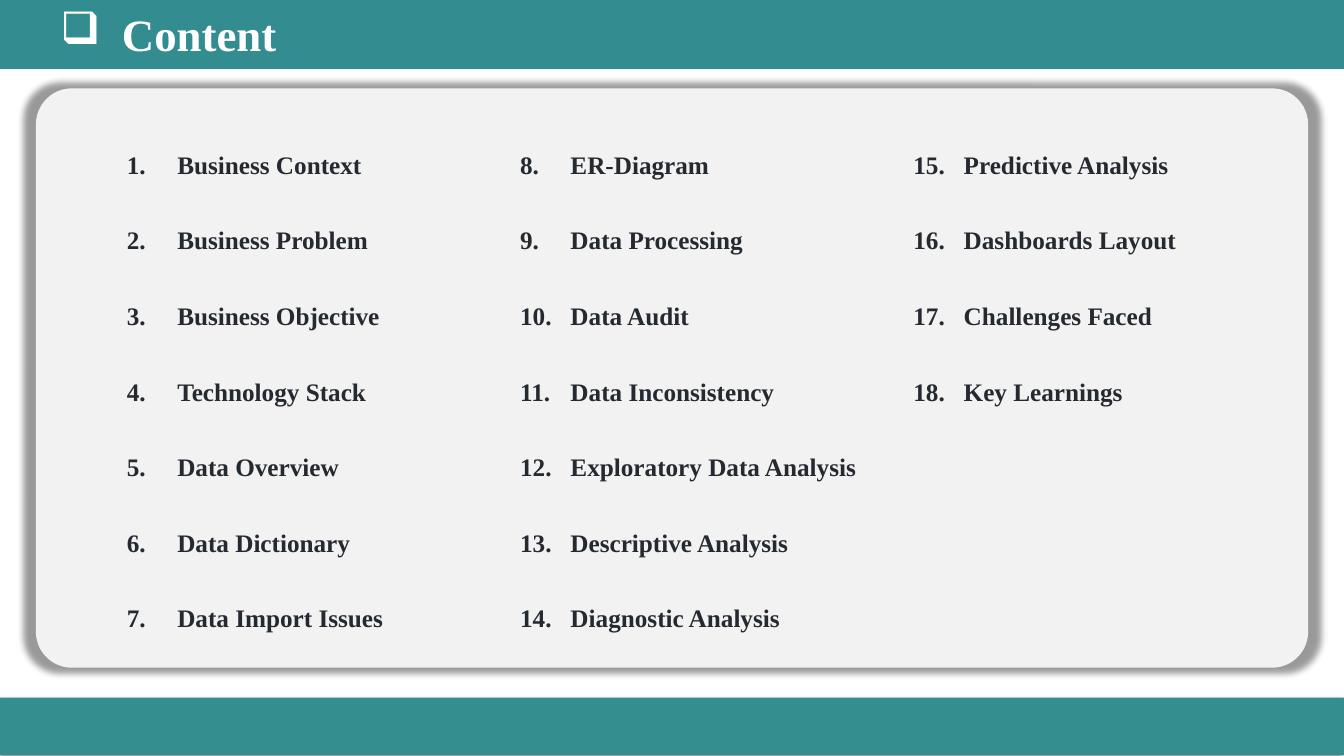
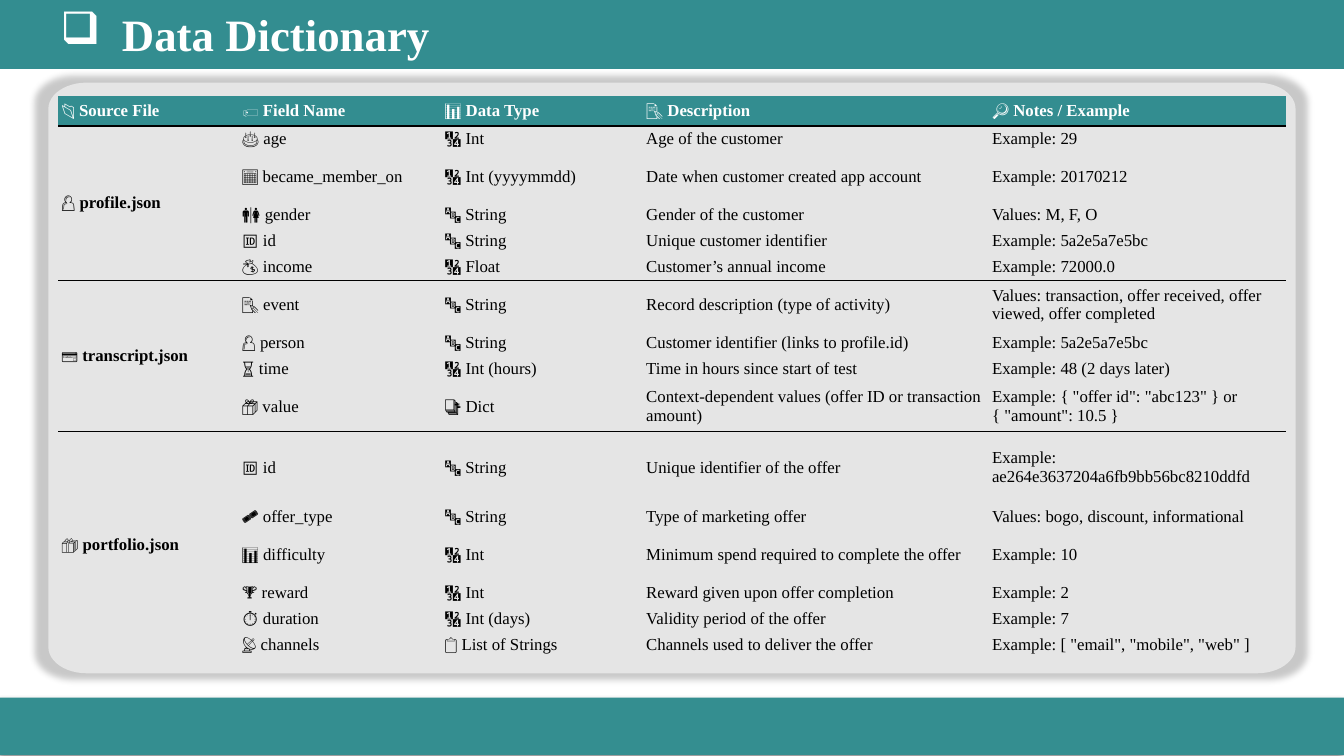
from dataclasses import dataclass
from math import cos, pi, sin

from lxml import etree
from pptx import Presentation
from pptx.dml.color import RGBColor
from pptx.enum.shapes import MSO_SHAPE
from pptx.enum.text import MSO_ANCHOR, MSO_AUTO_SIZE, PP_ALIGN
from pptx.oxml.ns import qn
from pptx.shapes.autoshape import Shape
from pptx.slide import Slide
from pptx.table import _Cell
from pptx.text.text import _Paragraph
from pptx.util import Inches, Pt

RECTANGLE = MSO_SHAPE.RECTANGLE
ROUNDED = MSO_SHAPE.ROUNDED_RECTANGLE
MIDDLE = MSO_ANCHOR.MIDDLE
FIT_SHAPE = MSO_AUTO_SIZE.SHAPE_TO_FIT_TEXT
NO_FIT = MSO_AUTO_SIZE.NONE
LEFT = PP_ALIGN.LEFT

TEAL = RGBColor(0x33, 0x8D, 0x90)
FOOTER_TEAL = RGBColor(0x34, 0x8E, 0x90)
PANEL_GREY = RGBColor(0xF2, 0xF2, 0xF2)
INK = RGBColor(0x25, 0x29, 0x30)
BLACK = RGBColor(0, 0, 0)
WHITE = RGBColor(0xFF, 0xFF, 0xFF)

FONT = "Times New Roman"
SLIDE_WIDTH = Inches(13.33)
SLIDE_HEIGHT = Inches(7.5)
PLAIN_TABLE_STYLE = "{2D5ABB26-0587-4C30-8999-92F81FD0307C}"

TOPICS = [
    "Business Context", "Business Problem", "Business Objective",
    "Technology Stack", "Data Overview", "Data Dictionary",
    "Data Import Issues", "ER-Diagram", "Data Processing", "Data Audit",
    "Data Inconsistency", "Exploratory Data Analysis",
    "Descriptive Analysis", "Diagnostic Analysis", "Predictive Analysis",
    "Dashboards Layout", "Challenges Faced", "Key Learnings",
]
TOPICS_PER_COLUMN = 7


@dataclass(frozen=True)
class Shadow:
    blur: float
    distance: float = 0
    direction: int = 0
    scale: int = 100


@dataclass(frozen=True)
class Field:
    name: str
    data_type: str
    description: str
    example: str
    height: float = 0.26


@dataclass(frozen=True)
class Source:
    icon: str
    file_name: str
    fields: list[Field]


PANEL_SHADOW = Shadow(blur=5, scale=102)
FOOTER_SHADOW = Shadow(blur=4, distance=3, direction=135)

HEADINGS = ["📂 Source File", "🏷️ Field Name", "📊 Data Type",
            "📝 Description", "🔎 Notes / Example"]
HEADING_HEIGHT = 0.3
COLUMN_WIDTHS = [1.79, 2.01, 2, 3.43, 2.95]
SOURCES = [
    Source("👤 ", "profile.json", [
        Field("🎂 age", "🔢 Int", "Age of the customer", "Example: 29"),
        Field("📅 became_member_on", "🔢 Int (yyyymmdd)",
              "Date when customer created app account",
              "Example: 20170212", 0.49),
        Field("🚻 gender", "🔤 String", "Gender of the customer",
              "Values: M, F, O"),
        Field("🆔 id", "🔤 String", "Unique customer identifier",
              "Example: 5a2e5a7e5bc"),
        Field("💰 income", "🔢 Float", "Customer’s annual income",
              "Example: 72000.0"),
    ]),
    Source("💳 ", "transcript.json", [
        Field("📝 event", "🔤 String", "Record description (type of activity)",
              "Values: transaction, offer received, offer viewed, "
              "offer completed", 0.49),
        Field("👤 person", "🔤 String",
              "Customer identifier (links to profile.id)",
              "Example: 5a2e5a7e5bc"),
        Field("⏳ time", "🔢 Int (hours)", "Time in hours since start of test",
              "Example: 48 (2 days later)"),
        Field("📦 value", "📑 Dict",
              "Context-dependent values (offer ID or transaction amount)",
              'Example: { "offer id": "abc123" } or { "amount": 10.5 }', 0.49),
    ]),
    Source("🎁 ", "portfolio.json", [
        Field("🆔 id", "🔤 String", "Unique identifier of the offer",
              "Example: ae264e3637204a6fb9bb56bc8210ddfd", 0.72),
        Field("🎟️ offer_type", "🔤 String", "Type of marketing offer",
              "Values: bogo, discount, informational"),
        Field("📊 difficulty", "🔢 Int",
              "Minimum spend required to complete the offer",
              "Example: 10", 0.49),
        Field("🏆 reward", "🔢 Int", "Reward given upon offer completion",
              "Example: 2"),
        Field("⏱️ duration", "🔢 Int (days)", "Validity period of the offer",
              "Example: 7"),
        Field("📡 channels", "📋 List of Strings",
              "Channels used to deliver the offer",
              'Example: [ "email", "mobile", "web" ]'),
    ]),
]


def add_run(paragraph: _Paragraph, text: str, size: float, color: RGBColor,
            bold: bool) -> None:
    run = paragraph.add_run()
    run.text = text
    run.font.name = FONT
    run.font.size = Pt(size)
    run.font.bold = bold
    run.font.color.rgb = color


def set_bullet(paragraph: _Paragraph, tag: str, margin: float, hanging: float,
               **attributes: str) -> None:
    properties = paragraph._p.get_or_add_pPr()
    properties.set("marL", str(Inches(margin)))
    properties.set("indent", str(-Inches(hanging)))
    etree.SubElement(properties, qn(tag), attributes)


def set_shadow(shape: Shape, shadow: Shadow) -> None:
    shape.shadow.inherit = False
    effects = shape._element.spPr.find(qn("a:effectLst"))
    outer = etree.SubElement(effects, qn("a:outerShdw"), {
        "blurRad": str(Pt(shadow.blur)),
        "dist": str(Pt(shadow.distance)),
        "dir": str(shadow.direction * 60000),
        "sx": str(shadow.scale * 1000),
        "sy": str(shadow.scale * 1000),
        "algn": "ctr",
        "rotWithShape": "0",
    })
    color = etree.SubElement(outer, qn("a:srgbClr"), val=str(BLACK))
    etree.SubElement(color, qn("a:alpha"), val="40000")


def paint(shape: Shape, fill: RGBColor, line: RGBColor | None = None) -> None:
    shape.fill.solid()
    shape.fill.fore_color.rgb = fill
    if line is None:
        shape.line.fill.background()
    else:
        shape.line.color.rgb = line
        shape.line.width = Pt(2)


def add_framed_slide(deck: Presentation, heading: str) -> Slide:
    slide = deck.slides.add_slide(deck.slide_layouts[5])
    footer = slide.shapes.add_shape(
        RECTANGLE, 0, Inches(6.92), SLIDE_WIDTH, Inches(0.57))
    paint(footer, FOOTER_TEAL)
    set_shadow(footer, FOOTER_SHADOW)

    title = slide.shapes.title
    title.left, title.top = 0, 0
    title.width, title.height = SLIDE_WIDTH, Inches(0.67)
    paint(title, TEAL, TEAL)
    frame = title.text_frame
    frame.auto_size = NO_FIT
    frame.vertical_anchor = MIDDLE
    paragraph = frame.paragraphs[0]
    paragraph.alignment = LEFT
    set_bullet(paragraph, "a:buChar", 1.11, 0.61, char="❑")
    add_run(paragraph, heading, 32, WHITE, True)
    return slide


def add_topic_column(slide: Slide, column: int) -> None:
    first = column * TOPICS_PER_COLUMN
    topics = TOPICS[first:first + TOPICS_PER_COLUMN]
    box = slide.shapes.add_textbox(
        Inches(1.16 + 3.9 * column), Inches(0.98),
        Inches(3.79), Inches(0.75 * len(topics)))
    frame = box.text_frame
    frame.word_wrap = True
    frame.auto_size = FIT_SHAPE
    for index, topic in enumerate(topics):
        paragraph = frame.add_paragraph() if index else frame.paragraphs[0]
        paragraph.line_spacing = 2.5
        set_bullet(paragraph, "a:buAutoNum", 0.5, 0.5,
                   type="arabicPeriod", startAt=str(first + 1))
        add_run(paragraph, topic, 18, INK, True)


def build_content(deck: Presentation) -> None:
    slide = add_framed_slide(deck, "Content")
    panel = slide.shapes.add_shape(
        ROUNDED, Inches(0.37), Inches(0.89), Inches(12.59), Inches(5.72))
    panel.adjustments[0] = 0.06
    paint(panel, PANEL_GREY, PANEL_GREY)
    set_shadow(panel, PANEL_SHADOW)
    for column in range(3):
        add_topic_column(slide, column)


def add_dictionary_panel(slide: Slide) -> None:
    left, top, right, bottom = 0.48, 0.82, 12.85, 6.68
    radius_x, radius_y, steps = 0.38, 0.26, 12
    corners = [(right - radius_x, bottom - radius_y),
               (left + radius_x, bottom - radius_y),
               (left + radius_x, top + radius_y),
               (right - radius_x, top + radius_y)]
    outline = []
    for quarter, (center_x, center_y) in enumerate(corners):
        for step in range(steps + 1):
            angle = (quarter + step / steps) * pi / 2
            outline.append((Inches(center_x + radius_x * cos(angle)),
                            Inches(center_y + radius_y * sin(angle))))
    builder = slide.shapes.build_freeform(*outline[0])
    builder.add_line_segments(outline[1:], close=True)
    panel = builder.convert_to_shape()
    paint(panel, WHITE)
    color = panel._element.spPr.find(qn("a:solidFill")).find(qn("a:srgbClr"))
    etree.SubElement(color, qn("a:alpha"), val="54000")
    set_shadow(panel, PANEL_SHADOW)


def rule_cell(cell: _Cell, above: bool, below: bool) -> None:
    properties = cell._tc.get_or_add_tcPr()
    edges = [("a:lnL", False), ("a:lnR", False),
             ("a:lnT", above), ("a:lnB", below)]
    for position, (tag, visible) in enumerate(edges):
        edge = etree.Element(qn(tag), w=str(Pt(1)))
        if visible:
            fill = etree.SubElement(edge, qn("a:solidFill"))
            etree.SubElement(fill, qn("a:srgbClr"), val=str(BLACK))
        else:
            etree.SubElement(edge, qn("a:noFill"))
        properties.insert(position, edge)


def fill_cell(cell: _Cell, text: str, color: RGBColor = BLACK,
              bold: bool = False) -> None:
    cell.vertical_anchor = MIDDLE
    cell.margin_left = cell.margin_right = Inches(0.03)
    cell.margin_top = cell.margin_bottom = Inches(0.01)
    add_run(cell.text_frame.paragraphs[0], text, 12, color, bold)


def build_dictionary(deck: Presentation) -> None:
    slide = add_framed_slide(deck, "Data Dictionary")
    add_dictionary_panel(slide)
    heights = [HEADING_HEIGHT] + [
        field.height for source in SOURCES for field in source.fields]
    table = slide.shapes.add_table(
        len(heights), len(HEADINGS), Inches(0.58), Inches(0.95),
        Inches(sum(COLUMN_WIDTHS)), Inches(sum(heights))).table
    table.horz_banding = False
    table._tbl.tblPr.find(qn("a:tableStyleId")).text = PLAIN_TABLE_STYLE
    for column, width in zip(table.columns, COLUMN_WIDTHS):
        column.width = Inches(width)
    for row, height in zip(table.rows, heights):
        row.height = Inches(height)

    for column, heading in enumerate(HEADINGS):
        cell = table.cell(0, column)
        fill_cell(cell, heading, WHITE, True)
        cell.fill.solid()
        cell.fill.fore_color.rgb = TEAL
        rule_cell(cell, False, True)

    first = 1
    for source in SOURCES:
        last = first + len(source.fields) - 1
        file_cell = table.cell(first, 0)
        file_cell.merge(table.cell(last, 0))
        fill_cell(file_cell, source.icon)
        add_run(file_cell.text_frame.paragraphs[0], source.file_name,
                12, BLACK, True)
        for row, field in enumerate(source.fields, first):
            texts = [field.name, field.data_type,
                     field.description, field.example]
            for column, text in enumerate(texts, 1):
                fill_cell(table.cell(row, column), text)
            for cell in table.rows[row].cells:
                cell.fill.background()
                rule_cell(cell, row == first,
                          row == last and source is not SOURCES[-1])
        first = last + 1


def main() -> None:
    deck = Presentation()
    deck.slide_width, deck.slide_height = SLIDE_WIDTH, SLIDE_HEIGHT
    build_content(deck)
    build_dictionary(deck)
    deck.save("out.pptx")


if __name__ == "__main__":
    main()
